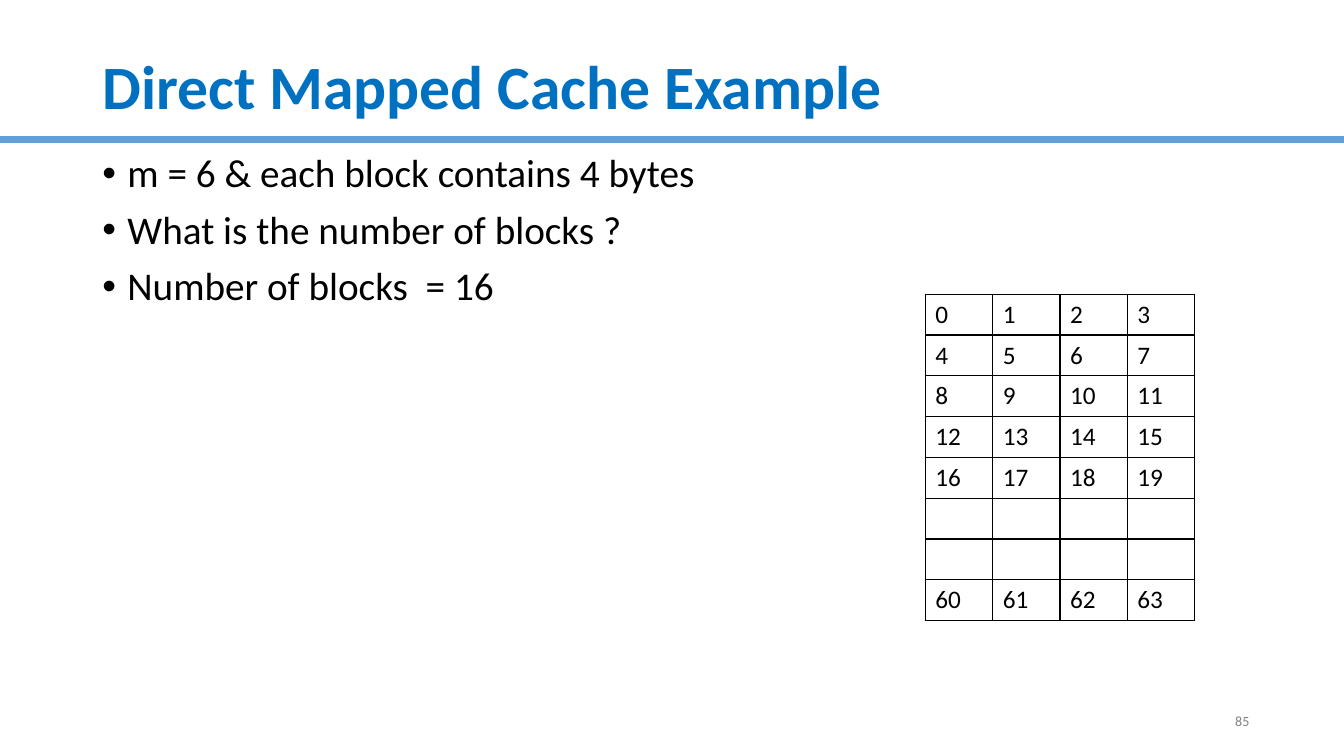
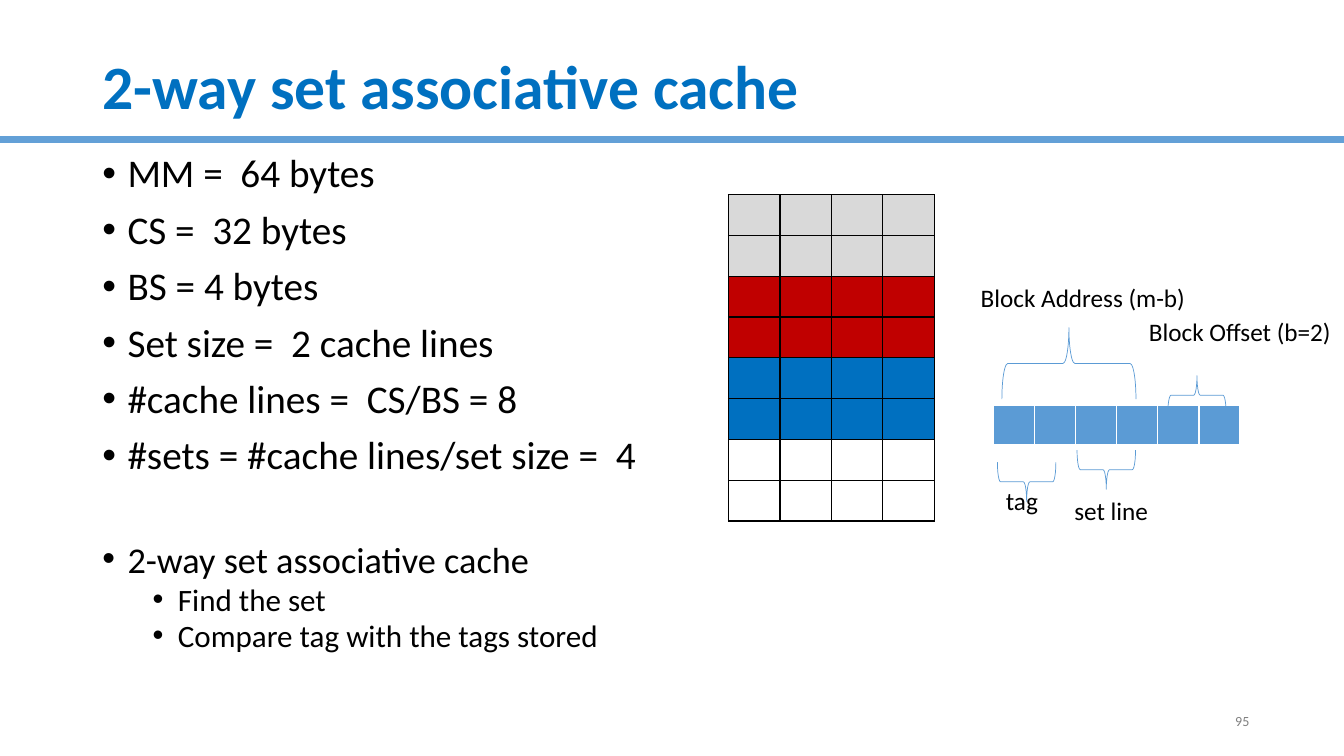
from dataclasses import dataclass
from typing import Any, NamedTuple, Optional

from lxml.etree import SubElement
from pptx import Presentation
from pptx.dml.color import RGBColor
from pptx.enum.shapes import MSO_CONNECTOR, MSO_SHAPE
from pptx.enum.text import MSO_ANCHOR, MSO_AUTO_SIZE, PP_ALIGN
from pptx.oxml.ns import qn
from pptx.util import Pt


@dataclass(frozen=True)
class Theme:
    font: str = "Calibri"
    title: str = "0070C0"
    band: str = "63A0D7"
    ink: str = "000000"
    paper: str = "FFFFFF"
    mute: str = "808080"
    accent: str = "5B9BD5"
    gray: str = "D9D9D9"
    red: str = "C00000"
    blue: str = "0070C0"
    head: float = 44
    body: float = 28
    note: float = 25.9
    sub: float = 22.2
    label: float = 18
    foot: float = 10


THEME = Theme()
WIDE, HIGH = 960, 540
LEFT = 66
ROW = 29.16


class Box(NamedTuple):
    left: float
    top: float
    width: float
    height: float

    def emu(self) -> list:
        return [Pt(side) for side in self]


class Item(NamedTuple):
    text: str
    size: float = THEME.body
    level: int = 0
    before: float = 10


class Brace(NamedTuple):
    box: Box
    turn: int


class Label(NamedTuple):
    text: str
    box: Box


class Edge(NamedTuple):
    color: str
    width: float


class Cell(NamedTuple):
    text: str = ""
    fill: Optional[str] = None


def rgb(code: str) -> RGBColor:
    return RGBColor.from_string(code)


def apply(target: Any, values: dict) -> None:
    for name, value in values.items():
        setattr(target, name, value)


def write(para: Any, text: str, size: float, color: str = THEME.ink,
          bold: bool = False) -> None:
    run = para.add_run()
    run.text = text
    apply(run.font, {"name": THEME.font, "size": Pt(size), "bold": bold})
    run.font.color.rgb = rgb(color)


def add_text(slide: Any, box: Box, wrap: bool = True) -> Any:
    frame = slide.shapes.add_textbox(*box.emu()).text_frame
    frame.word_wrap = wrap
    return frame


def add_base(deck: Any, title: str, number: int) -> Any:
    """Start a slide with its title, band and page number."""
    slide = deck.slides.add_slide(deck.slide_layouts[5])

    line = slide.shapes.add_connector(
        MSO_CONNECTOR.STRAIGHT, Pt(WIDE), Pt(99.4), Pt(0), Pt(99.4))
    line.line.color.rgb = rgb(THEME.band)
    line.line.width = Pt(5)
    SubElement(line._element.spPr, qn("a:effectLst"))

    head = slide.shapes.title
    spot = Box(LEFT, 28.8, 828, 70.5).emu()
    apply(head, dict(zip(Box._fields, spot)))
    apply(head.text_frame, {
        "vertical_anchor": MSO_ANCHOR.MIDDLE, "word_wrap": True,
        "auto_size": MSO_AUTO_SIZE.NONE})
    para = head.text_frame.paragraphs[0]
    apply(para, {"alignment": PP_ALIGN.LEFT, "line_spacing": 0.9})
    write(para, title, THEME.head, THEME.title, True)

    foot = add_text(slide, Box(683.5, 500.5, 216, 28.8))
    foot.vertical_anchor = MSO_ANCHOR.MIDDLE
    para = foot.paragraphs[0]
    para.alignment = PP_ALIGN.RIGHT
    write(para, str(number), THEME.foot, THEME.mute)
    return slide


def add_list(slide: Any, box: Box, items: list[Item],
             pitch: float = 0.9) -> None:
    frame = add_text(slide, box)
    for index, item in enumerate(items):
        para = frame.add_paragraph() if index else frame.paragraphs[0]
        props = para._p.get_or_add_pPr()
        props.set("marL", str(Pt(18 + 36 * item.level)))
        props.set("indent", str(-Pt(18)))
        SubElement(props, qn("a:buFont"), typeface="Arial")
        SubElement(props, qn("a:buChar"), char="•")
        apply(para, {"level": item.level, "line_spacing": pitch,
                     "space_before": Pt(item.before if index else 0)})
        write(para, item.text, item.size)


def add_edges(cell: Any, edges: dict[str, Edge]) -> None:
    """Put the borders ahead of the fill, as the schema asks."""
    props = cell._tc.get_or_add_tcPr()
    for place, (side, edge) in enumerate(edges.items()):
        line = SubElement(props, qn(f"a:ln{side}"), w=str(Pt(edge.width)))
        fill = SubElement(line, qn("a:solidFill"))
        SubElement(fill, qn("a:srgbClr"), val=edge.color)
        props.insert(place, line)


def add_grid(slide: Any, box: Box, rows: list[list[Cell]],
             edges: dict[str, Edge]) -> None:
    frame = slide.shapes.add_table(len(rows), len(rows[0]), *box.emu())
    table = frame.table
    apply(table, {"first_row": False, "horz_banding": False})
    for col in table.columns:
        col.width = Pt(box.width / len(rows[0]))
    for row, cells in zip(table.rows, rows):
        row.height = Pt(box.height / len(rows))
        for cell, data in zip(row.cells, cells):
            if data.fill:
                cell.fill.solid()
                cell.fill.fore_color.rgb = rgb(data.fill)
            else:
                cell.fill.background()
            add_edges(cell, edges)
            if data.text:
                write(cell.text_frame.paragraphs[0], data.text, THEME.label)


def add_brace(slide: Any, brace: Brace) -> None:
    shape = slide.shapes.add_shape(MSO_SHAPE.RIGHT_BRACE, *brace.box.emu())
    shape.rotation = brace.turn
    shape.shadow.inherit = False
    shape.fill.background()
    shape.line.color.rgb = rgb(THEME.accent)
    shape.line.width = Pt(0.5)


def add_label(slide: Any, label: Label) -> None:
    frame = add_text(slide, label.box, wrap=False)
    frame.auto_size = MSO_AUTO_SIZE.SHAPE_TO_FIT_TEXT
    write(frame.paragraphs[0], label.text, THEME.label)


BLACK = {side: Edge(THEME.ink, 1) for side in "LRTB"}
WHITE = {side: Edge(THEME.paper, 3 if side == "B" else 1) for side in "LRTB"}


def draw_direct(deck: Any) -> None:
    slide = add_base(deck, "Direct Mapped Cache Example", 85)
    add_list(slide, Box(LEFT, 106.5, 741.6, 125.3), [
        Item("m = 6 & each block contains 4 bytes"),
        Item("What is the number of blocks ?"),
        Item("Number of blocks  = 16"),
    ])
    starts = [0, 4, 8, 12, 16, None, None, 60]
    rows = [[Cell("" if start is None else str(start + step))
             for step in range(4)] for start in starts]
    add_grid(slide, Box(661, 210.2, 192.24, ROW * len(rows)), rows, BLACK)


def draw_assoc(deck: Any) -> None:
    slide = add_base(deck, "2-way set associative cache", 95)
    add_list(slide, Box(LEFT, 106.5, 414, 251.3), [
        Item("MM =  64 bytes"),
        Item("CS =  32 bytes"),
        Item("BS = 4 bytes"),
        Item("Set size =  2 cache lines"),
        Item("#cache lines =  CS/BS = 8"),
        Item("#sets = #cache lines/set size =  4"),
    ])

    sets = [THEME.gray, THEME.red, THEME.blue, None]
    rows = [[Cell(fill=fill)] * 4 for fill in sets for _ in range(2)]
    add_grid(slide, Box(520.4, 139, 146.9, ROW * len(rows)), rows, BLACK)
    bits = [[Cell(fill=THEME.accent)] * 6]
    add_grid(slide, Box(709.4, 289.4, 176.4, ROW), bits, WHITE)

    for brace in (
        Brace(Box(738, 211.7, 51.1, 95.8), 270),
        Brace(Box(841, 261.4, 28, 41.8), 270),
        Brace(Box(776.2, 314.6, 28, 41.8), 90),
        Brace(Box(719.3, 323.3, 28, 41.8), 90),
    ):
        add_brace(slide, brace)
    for label in (
        Label("Block Offset (b=2)", Box(813.6, 222.5, 146.2, 29)),
        Label("Block Address (m-b)", Box(693.4, 198, 162, 29)),
        Label("set line", Box(760.3, 350, 67.7, 29)),
        Label("tag", Box(711.4, 343.4, 37.4, 29)),
    ):
        add_label(slide, label)

    add_list(slide, Box(LEFT, 386, 414, 87), [
        Item("2-way set associative cache", THEME.note),
        Item("Find the set", THEME.sub, 1, 5),
        Item("Compare tag with the tags stored", THEME.sub, 1, 5),
    ], 0.8)


def main() -> None:
    deck = Presentation()
    apply(deck, {"slide_width": Pt(WIDE), "slide_height": Pt(HIGH)})
    draw_direct(deck)
    draw_assoc(deck)
    deck.save("out.pptx")


if __name__ == "__main__":
    main()
